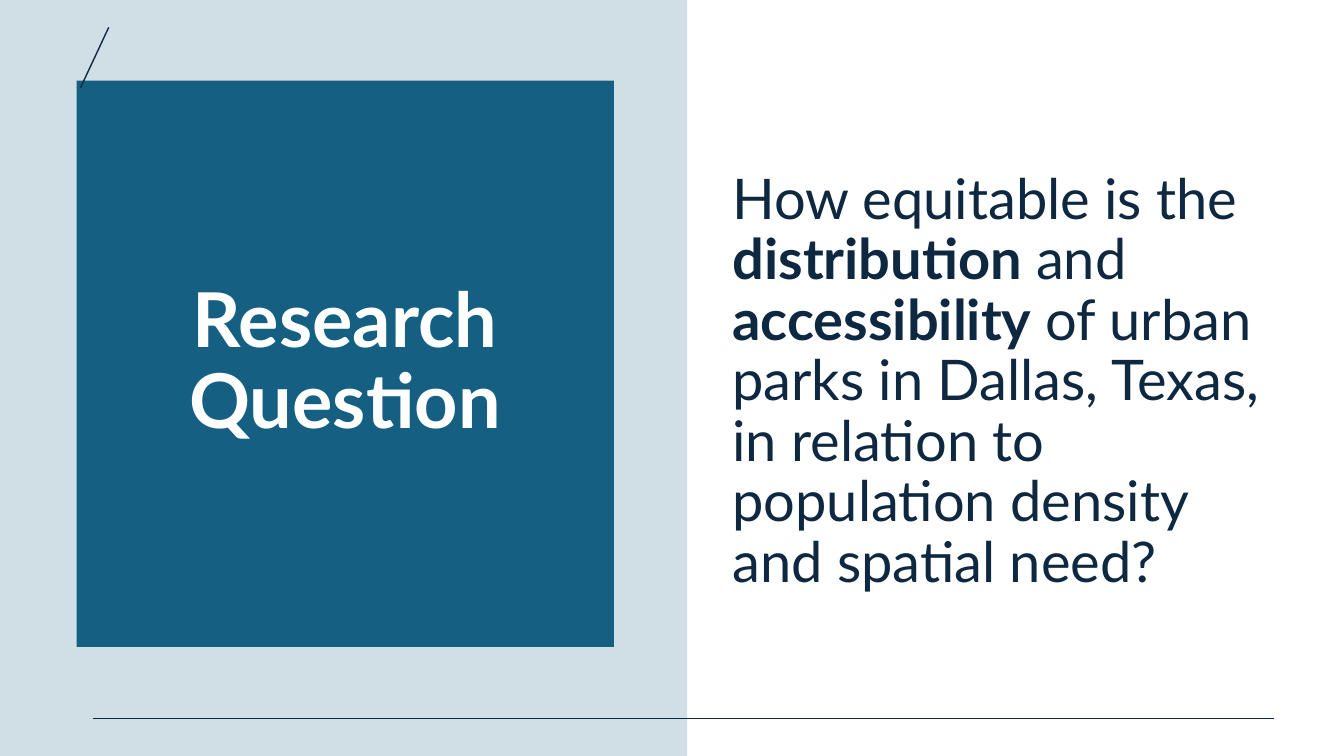
from lxml.etree import SubElement
from pptx import Presentation
from pptx.dml.color import RGBColor
from pptx.enum.shapes import MSO_CONNECTOR as Connector, MSO_SHAPE as Shape
from pptx.enum.text import MSO_ANCHOR as Anchor, PP_ALIGN as Align
from pptx.oxml.ns import qn
from pptx.util import Cm, Pt

TEAL = RGBColor(0x15, 0x60, 0x82)
NAVY = RGBColor(0x0E, 0x28, 0x41)
WHITE = RGBColor(0xFF, 0xFF, 0xFF)


class SlideBuilder:
    font = "Lato"
    line_spacing = 0.9
    line_width = Pt(1)

    def __init__(self, page):
        self.page = page

    def panel(self, left, top, width, height, color, opacity=100):
        panel = self.page.shapes.add_shape(
            Shape.RECTANGLE, Cm(left), Cm(top), Cm(width), Cm(height))
        panel.shadow.inherit = False
        panel.fill.solid()
        panel.fill.fore_color.rgb = color
        panel.line.fill.background()
        if opacity < 100:
            fill = panel._element.spPr.find(qn("a:solidFill"))
            SubElement(fill[0], qn("a:alpha")).set("val", str(opacity * 1000))
        return panel

    def text_box(self, left, top, width, height):
        return self.page.shapes.add_textbox(Cm(left), Cm(top), Cm(width), Cm(height))

    def add_text(self, box, spans, size, color, align):
        """Fill a box with one paragraph of (text, bold) spans."""
        frame = box.text_frame
        frame.word_wrap = True
        frame.vertical_anchor = Anchor.MIDDLE
        para = frame.paragraphs[0]
        para.alignment = align
        para.line_spacing = self.line_spacing
        for text, bold in spans:
            span = para.add_run()
            span.text = text
            span.font.name = self.font
            span.font.size = Pt(size)
            span.font.bold = bold
            span.font.color.rgb = color

    def line(self, start, end, color):
        line = self.page.shapes.add_connector(
            Connector.STRAIGHT, *map(Cm, start), *map(Cm, end))
        line.line.color.rgb = color
        line.line.width = self.line_width
        SubElement(line._element.spPr, qn("a:effectLst"))


def main():
    deck = Presentation()
    deck.slide_width, deck.slide_height = Cm(33.87), Cm(19.05)
    builder = SlideBuilder(deck.slides.add_slide(deck.slide_layouts[6]))

    # Tinted left side with the title panel
    builder.panel(0, 0, 17.32, 19.05, TEAL, opacity=20)
    title = builder.panel(1.93, 2.03, 13.54, 14.27, TEAL)
    builder.add_text(title, [("Research Question", True)], 54, WHITE, Align.CENTER)

    # Accent stroke at the panel corner
    builder.line((2.74, 0.69), (2.03, 2.21), NAVY)

    # Question, set slightly below the middle by a deeper top inset
    question = builder.text_box(18.21, 1.98, 13.89, 14.27)
    question.text_frame.margin_top = Cm(1.17)
    builder.add_text(question, [
        ("How equitable is the ", False),
        ("distribution", True),
        (" and ", False),
        ("accessibility", True),
        (" of urban parks in Dallas, Texas, in relation to population density "
         "and spatial need?", False),
    ], 40, NAVY, Align.LEFT)

    # Footer rule
    builder.line((32.11, 18.11), (2.34, 18.11), NAVY)

    deck.save("out.pptx")


if __name__ == "__main__":
    main()
